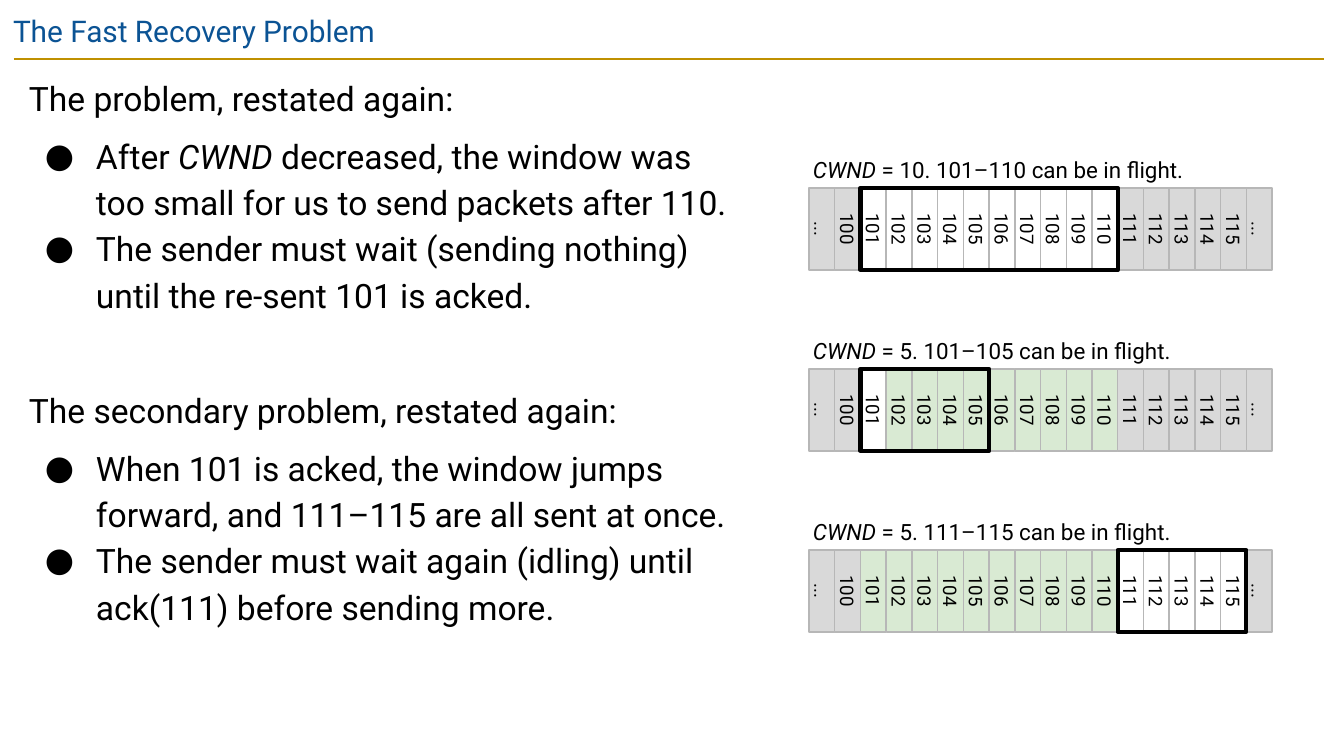
from lxml.etree import SubElement
from pptx import Presentation
from pptx.dml.color import RGBColor
from pptx.enum.shapes import MSO_CONNECTOR, MSO_SHAPE
from pptx.enum.text import MSO_ANCHOR, MSO_AUTO_SIZE, PP_ALIGN
from pptx.oxml.ns import qn
from pptx.util import Pt

SCALE = 914400 / 134.4
BLACK = RGBColor(0x00, 0x00, 0x00)
WHITE = RGBColor(0xFF, 0xFF, 0xFF)
BLUE = RGBColor(0x0B, 0x53, 0x94)
GOLD = RGBColor(0xBF, 0x90, 0x00)
GRAY = RGBColor(0xD9, 0xD9, 0xD9)
EDGE = RGBColor(0xB7, 0xB7, 0xB7)
GREEN = RGBColor(0xD9, 0xEA, 0xD3)

FACE = "Roboto"
VAR = "CWND"
LABELS = ["...", *range(100, 116), "..."]
NONE = range(0)

BODY = [
    (False, 0, "The problem, restated again:"),
    (True, 6, "After CWND decreased, the window was too small for us to send packets after 110."),
    (True, 0, "The sender must wait (sending nothing) until the re-sent 101 is acked."),
    (False, 37, "The secondary problem, restated again:"),
    (True, 6, "When 101 is acked, the window jumps forward, and 111–115 are all sent at once."),
    (True, 0, "The sender must wait again (idling) until ack(111) before sending more."),
]

STRIPS = [
    ("CWND = 10. 101–110 can be in flight.", range(101, 111), NONE),
    ("CWND = 5. 101–105 can be in flight.", range(101, 106), range(102, 111)),
    ("CWND = 5. 111–115 can be in flight.", range(111, 116), range(101, 111)),
]


def emu(px):
    return round(px * SCALE)


def apply(item, form):
    for key, val in form.items():
        setattr(item, key, val)


def place(item, box):
    apply(item, dict(zip(("left", "top", "width", "height"), map(emu, box))))


def setup(frame, pad, anchor):
    sides = ("margin_left", "margin_top", "margin_right", "margin_bottom")
    apply(frame, dict.fromkeys(sides, emu(pad)))
    apply(frame, {"word_wrap": True, "auto_size": MSO_AUTO_SIZE.NONE,
                  "vertical_anchor": anchor})


def write(para, text, size, color=BLACK):
    head, mark, tail = text.partition(VAR)
    for part in filter(None, (head, mark, tail)):
        run = para.add_run()
        run.text = part
        apply(run.font, {"name": FACE, "size": Pt(size), "italic": part == VAR})
        run.font.color.rgb = color


def bullet(para, shown):
    props = para._p.get_or_add_pPr()
    props.set("marL", str(emu(67) if shown else 0))
    props.set("indent", str(emu(-51) if shown else 0))
    if not shown:
        SubElement(props, qn("a:buNone"))
        return
    tint = SubElement(props, qn("a:buClr"))
    SubElement(tint, qn("a:srgbClr"), val=str(BLACK))
    SubElement(props, qn("a:buFont"), typeface=FACE)
    SubElement(props, qn("a:buChar"), char="●")


def header(slide, box):
    x, y, w, h = box
    title = slide.shapes.title
    place(title, (x, y, w - 91, h - 1))
    setup(title.text_frame, 13, MSO_ANCHOR.TOP)
    para = title.text_frame.paragraphs[0]
    para.alignment = PP_ALIGN.LEFT
    write(para, "The Fast Recovery Problem", 16, BLUE)
    rule = slide.shapes.add_connector(
        MSO_CONNECTOR.STRAIGHT, *map(emu, (x + 14, y + h, x + w - 20, y + h)))
    rule.line.color.rgb = GOLD
    rule.line.width = Pt(1.5)
    SubElement(rule._element.spPr, qn("a:effectLst"))


def body(slide, box):
    holder = slide.placeholders[1]
    place(holder, box)
    frame = holder.text_frame
    setup(frame, 13, MSO_ANCHOR.TOP)
    for i, (listed, gap, text) in enumerate(BODY):
        para = frame.add_paragraph() if i else frame.paragraphs[0]
        bullet(para, listed)
        apply(para, {"line_spacing": 1.15, "space_before": Pt(gap),
                     "space_after": Pt(0), "alignment": PP_ALIGN.LEFT})
        write(para, text, 18)


def block(slide, box, fill, edge, width):
    x, y, w, h = box
    turned = (x + (w - h) / 2, y + (h - w) / 2, h, w)
    shape = slide.shapes.add_shape(MSO_SHAPE.RECTANGLE, *map(emu, turned))
    shape.rotation = 90
    shape.shadow.inherit = False
    if fill is None:
        shape.fill.background()
    else:
        shape.fill.solid()
        shape.fill.fore_color.rgb = fill
    shape.line.color.rgb = edge
    shape.line.width = Pt(width)
    return shape


def strip(slide, box, text, window, sent):
    x, y, w, h = box
    top, tall = y + 36, h - 36
    step = w / len(LABELS)
    for i, label in enumerate(LABELS):
        fill = GREEN if label in sent else WHITE if label in window else GRAY
        cell = block(slide, (x + i * step, top, step, tall), fill, EDGE, 0.75)
        setup(cell.text_frame, 13, MSO_ANCHOR.MIDDLE)
        para = cell.text_frame.paragraphs[0]
        para.alignment = PP_ALIGN.CENTER
        write(para, str(label), 10)
    first = LABELS.index(window[0])
    block(slide, (x + first * step, top, len(window) * step, tall), None, BLACK, 2.25)
    note = slide.shapes.add_textbox(*map(emu, (x, y, w, 35)))
    setup(note.text_frame, 4, MSO_ANCHOR.TOP)
    write(note.text_frame.paragraphs[0], text, 12)


def main():
    deck = Presentation()
    apply(deck, {"slide_width": emu(1344), "slide_height": emu(756)})
    slide = deck.slides.add_slide(deck.slide_layouts[1])
    header(slide, (0, 0, 1344, 59))
    body(slide, (16, 59, 732, 665))
    for i, row in enumerate(STRIPS):
        strip(slide, (809, 152 + i * 181, 463, 118), *row)
    deck.save("out.pptx")


if __name__ == "__main__":
    main()
